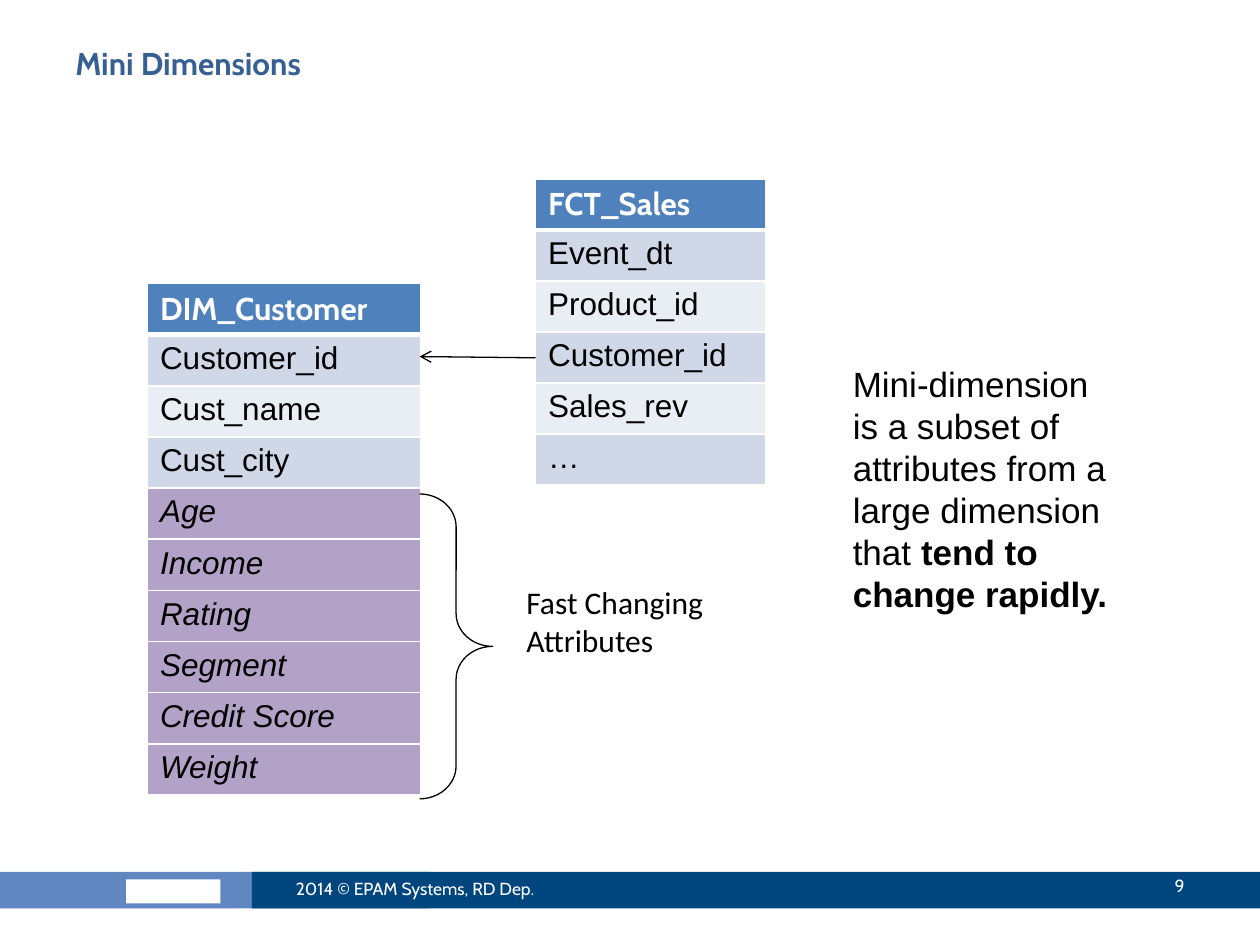
from dataclasses import dataclass

from lxml.etree import SubElement
from pptx import Presentation
from pptx.dml.color import RGBColor
from pptx.enum.shapes import MSO_CONNECTOR, MSO_SHAPE
from pptx.enum.text import MSO_ANCHOR, MSO_AUTO_SIZE, PP_ALIGN
from pptx.oxml.ns import qn
from pptx.util import Inches, Pt

WHITE = RGBColor(0xFF, 0xFF, 0xFF)
BLACK = RGBColor(0x00, 0x00, 0x00)
NAVY = RGBColor(0x00, 0x46, 0x7E)
STEEL = RGBColor(0x60, 0x87, 0xBF)
TITLE = RGBColor(0x37, 0x60, 0x92)
HEAD = RGBColor(0x4F, 0x81, 0xBD)
BANDS = (RGBColor(0xD0, 0xD8, 0xE8), RGBColor(0xE9, 0xED, 0xF4))
PURPLE = RGBColor(0xB3, 0xA2, 0xC7)


@dataclass
class Box:
    left: float
    top: float
    width: float
    height: float

    def place(self) -> tuple:
        return tuple(map(Inches, (self.left, self.top, self.width, self.height)))


@dataclass
class Label:
    box: Box
    texts: tuple
    size: int
    font: str
    color: RGBColor = BLACK
    bold: tuple = (False,)
    align: PP_ALIGN = PP_ALIGN.LEFT
    anchor: MSO_ANCHOR = MSO_ANCHOR.TOP
    grow: bool = False


@dataclass
class Entity:
    box: Box
    name: str
    fields: tuple
    rapid: tuple = ()


BARS = (
    (Box(-0.02, 6.92, 3.43, 0.29), STEEL),
    (Box(1, 6.98, 0.75, 0.19), WHITE),
    (Box(2, 6.92, 8, 0.29), NAVY),
)

LABELS = (
    Label(Box(2.25, 6.85, 2.67, 0.4), ("2014 © EPAM Systems, RD Dep.",), 10, "Cabin",
          WHITE, anchor=MSO_ANCHOR.MIDDLE),
    Label(Box(8.42, 6.83, 1.08, 0.4), ("9",), 10, "Cabin", WHITE,
          align=PP_ALIGN.RIGHT, anchor=MSO_ANCHOR.MIDDLE),
    Label(Box(0.5, 0.3, 9, 0.78), ("Mini Dimensions",), 18, "Cabin", TITLE, (True,)),
    Label(Box(4.08, 4.58, 1.67, 1.01), ("Fast Changing Attributes",), 18, "Calibri",
          grow=True),
    Label(Box(6.67, 2.83, 2.33, 2.12),
          ("Mini-dimension is a subset of attributes from a large dimension that ",
           "tend to change rapidly."), 20, "Arial", bold=(False, True), grow=True),
)

TABLES = (
    Entity(Box(4.25, 1.42, 1.83, 2.43), "FCT_Sales",
           ("Event_dt", "Product_id", "Customer_id", "Sales_rev", "…")),
    Entity(Box(1.17, 2.25, 2.17, 4.06), "DIM_Customer",
           ("Customer_id", "Cust_name", "Cust_city"),
           ("Age", "Income", "Rating", "Segment", "Credit Score", "Weight")),
)


def style(font, size: int, face: str, color: RGBColor, bold: bool) -> None:
    font.size = Pt(size)
    font.name = face
    font.color.rgb = color
    font.bold = bold


def draw_bar(slide, box: Box, color: RGBColor) -> None:
    bar = slide.shapes.add_shape(MSO_SHAPE.RECTANGLE, *box.place())
    bar.shadow.inherit = False
    bar.fill.solid()
    bar.fill.fore_color.rgb = color
    bar.line.fill.background()


def draw_label(slide, label: Label) -> None:
    frame = slide.shapes.add_textbox(*label.box.place()).text_frame
    frame.word_wrap = True
    frame.vertical_anchor = label.anchor
    if label.grow:
        frame.auto_size = MSO_AUTO_SIZE.SHAPE_TO_FIT_TEXT
    line = frame.paragraphs[0]
    line.alignment = label.align
    for text, bold in zip(label.texts, label.bold):
        run = line.add_run()
        run.text = text
        style(run.font, label.size, label.font, label.color, bold)


def add_edges(cell, top: int, bottom: int) -> None:
    props = cell._tc.get_or_add_tcPr()
    for side, width in (("L", 1), ("R", 1), ("T", top), ("B", bottom)):
        edge = SubElement(props, qn(f"a:ln{side}"), w=str(int(Pt(width))))
        fill = SubElement(edge, qn("a:solidFill"))
        SubElement(fill, qn("a:srgbClr"), val=str(WHITE))


def draw_table(slide, entity: Entity) -> None:
    names = (entity.name, *entity.fields, *entity.rapid)
    table = slide.shapes.add_table(len(names), 1, *entity.box.place()).table
    for row, name in enumerate(names):
        head = row == 0
        rapid = row > len(entity.fields)
        cell = table.cell(row, 0)
        add_edges(cell, 3 if row == 1 else 1, 3 if head else 1)
        cell.fill.solid()
        cell.fill.fore_color.rgb = HEAD if head else PURPLE if rapid else BANDS[(row - 1) % 2]
        cell.text_frame.text = name
        font = cell.text_frame.paragraphs[0].runs[0].font
        style(font, 18, "Cabin" if head else "Arial", WHITE if head else BLACK, head)
        font.italic = rapid


def draw_arrow(slide) -> None:
    ends = map(Inches, (4.25, 2.84, 3.33, 2.83))
    arrow = slide.shapes.add_connector(MSO_CONNECTOR.STRAIGHT, *ends)
    arrow.line.color.rgb = BLACK
    arrow.line.width = Pt(0.75)
    props = arrow._element.spPr
    SubElement(props.find(qn("a:ln")), qn("a:tailEnd"), type="arrow")
    SubElement(props, qn("a:effectLst"))


def draw_brace(slide) -> None:
    box = Box(3.33, 3.92, 0.58, 2.42)
    brace = slide.shapes.add_shape(MSO_SHAPE.RIGHT_BRACE, *box.place())
    brace.adjustments[0] = 0.45
    brace.shadow.inherit = False
    brace.fill.background()
    brace.line.color.rgb = BLACK
    brace.line.width = Pt(0.75)


def main() -> None:
    deck = Presentation()
    deck.slide_width = Inches(10)
    deck.slide_height = Inches(7.5)
    slide = deck.slides.add_slide(deck.slide_layouts[6])
    for box, color in BARS:
        draw_bar(slide, box, color)
    for entity in TABLES:
        draw_table(slide, entity)
    draw_arrow(slide)
    draw_brace(slide)
    for label in LABELS:
        draw_label(slide, label)
    deck.save("out.pptx")


if __name__ == "__main__":
    main()
